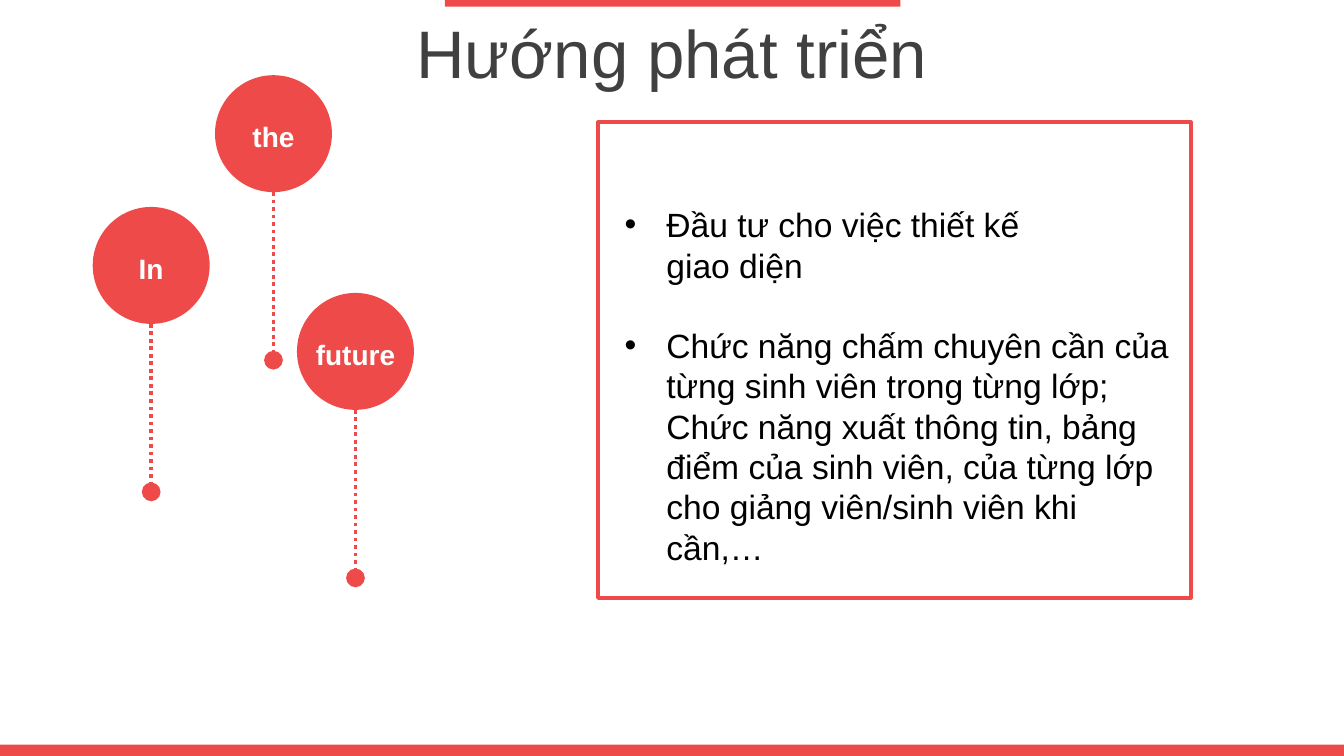
from dataclasses import dataclass

import pptx
import pptx.dml.color
import pptx.enum.dml
import pptx.enum.shapes
import pptx.enum.text
import pptx.oxml
import pptx.oxml.ns
import pptx.util
from pptx.util import Inches

ALIGN = pptx.enum.text.PP_ALIGN
ANCHOR = pptx.enum.text.MSO_ANCHOR
SHAPE = pptx.enum.shapes.MSO_SHAPE


@dataclass(frozen=True)
class Theme:
    font: str = "Arial"
    accent: str = "EF4A4A"
    paper: str = "FFFFFF"
    heading: str = "404040"
    body: str = "000000"
    title_size: int = 36
    body_size: int = 18
    label_size: int = 15
    line_width: int = 2


def rgb(value):
    return pptx.dml.color.RGBColor.from_string(value)


def add_xml(parent, tag, **attributes):
    child = pptx.oxml.parse_xml(f"<a:{tag} {pptx.oxml.ns.nsdecls('a')}/>")
    for key, value in attributes.items():
        child.set(key, value)
    parent.append(child)


class SlideBuilder:
    def __init__(self, slide, theme):
        self.slide = slide
        self.theme = theme

    def shape(self, kind, left, top, width, height, fill, line=None, parent=None):
        shape = (parent or self.slide).shapes.add_shape(
            kind, Inches(left), Inches(top), Inches(width), Inches(height))
        shape.shadow.inherit = False
        shape.fill.solid()
        shape.fill.fore_color.rgb = rgb(fill)
        if line:
            shape.line.color.rgb = rgb(line)
            shape.line.width = pptx.util.Pt(self.theme.line_width)
        else:
            shape.line.fill.background()

    def text(self, content, left, top, width, height, size, color,
             bold=False, align=ALIGN.CENTER, anchor=ANCHOR.TOP, parent=None):
        box = (parent or self.slide).shapes.add_textbox(
            Inches(left), Inches(top), Inches(width), Inches(height))
        frame = box.text_frame
        frame.word_wrap = True
        frame.vertical_anchor = anchor
        frame.text = content
        for paragraph in frame.paragraphs:
            paragraph.alignment = align
            for run in paragraph.runs:
                run.font.name = self.theme.font
                run.font.size = pptx.util.Pt(size)
                run.font.bold = bold
                run.font.color.rgb = rgb(color)
        return frame

    def bullets(self, items, left, top, width, height, gap):
        frame = self.text("\n".join(items), left, top, width, height,
                          self.theme.body_size, self.theme.body, align=ALIGN.LEFT)
        for index, paragraph in enumerate(frame.paragraphs):
            if index:
                paragraph.space_before = pptx.util.Pt(gap)
            properties = paragraph._p.get_or_add_pPr()
            properties.set("marL", str(Inches(0.31)))
            properties.set("indent", str(Inches(-0.31)))
            add_xml(properties, "buFont", typeface=self.theme.font)
            add_xml(properties, "buChar", char="•")

    def dotted_stem(self, x, top, length, parent):
        stem = parent.shapes.add_connector(
            pptx.enum.shapes.MSO_CONNECTOR.STRAIGHT,
            Inches(x), Inches(top), Inches(x), Inches(top + length))
        stem.line.color.rgb = rgb(self.theme.accent)
        stem.line.width = pptx.util.Pt(self.theme.line_width)
        stem.line.dash_style = pptx.enum.dml.MSO_LINE.ROUND_DOT
        add_xml(stem.line._get_or_add_ln(), "tailEnd", type="oval", w="lg", len="lg")
        add_xml(stem._element.spPr, "effectLst")

    def pin(self, word, left, top):
        """A labelled disc on a dotted stem that ends in a dot."""
        diameter, label_width = 0.87, 1.04
        center = left + diameter / 2
        group = self.slide.shapes.add_group_shape()
        self.shape(SHAPE.OVAL, left, top, diameter, diameter,
                   self.theme.accent, parent=group)
        self.dotted_stem(center, top + diameter, 1.25, group)
        self.text(word, center - label_width / 2, top + 0.28, label_width, 0.35,
                  self.theme.label_size, self.theme.paper, bold=True, parent=group)


def main():
    theme = Theme()
    deck = pptx.Presentation()
    deck.slide_width = Inches(10)
    deck.slide_height = Inches(10 * 9 / 16)
    builder = SlideBuilder(deck.slides.add_slide(deck.slide_layouts[6]), theme)

    builder.shape(SHAPE.RECTANGLE, 3.31, 0, 3.39, 0.05, theme.accent)
    builder.shape(SHAPE.RECTANGLE, 0, 5.54, 10, 0.09, theme.accent)
    builder.text("Hướng phát triển", 0, 0.07, 10, 0.63,
                 theme.title_size, theme.heading, anchor=ANCHOR.MIDDLE)

    builder.shape(SHAPE.RECTANGLE, 4.45, 0.91, 4.41, 3.54, theme.paper, theme.accent)
    plans = [
        "Đầu tư cho việc thiết kế\vgiao diện",
        "Chức năng chấm chuyên cần của từng sinh viên trong từng lớp; "
        "Chức năng xuất thông tin, bảng điểm của sinh viên, của từng lớp "
        "cho giảng viên/sinh viên khi cần,…",
    ]
    builder.bullets(plans, 4.55, 1.47, 4.31, 2.83, gap=21.5)

    for word, left, top in [("In", 0.69, 1.54), ("the", 1.6, 0.56),
                            ("future", 2.21, 2.18)]:
        builder.pin(word, left, top)

    deck.save("out.pptx")


if __name__ == "__main__":
    main()
